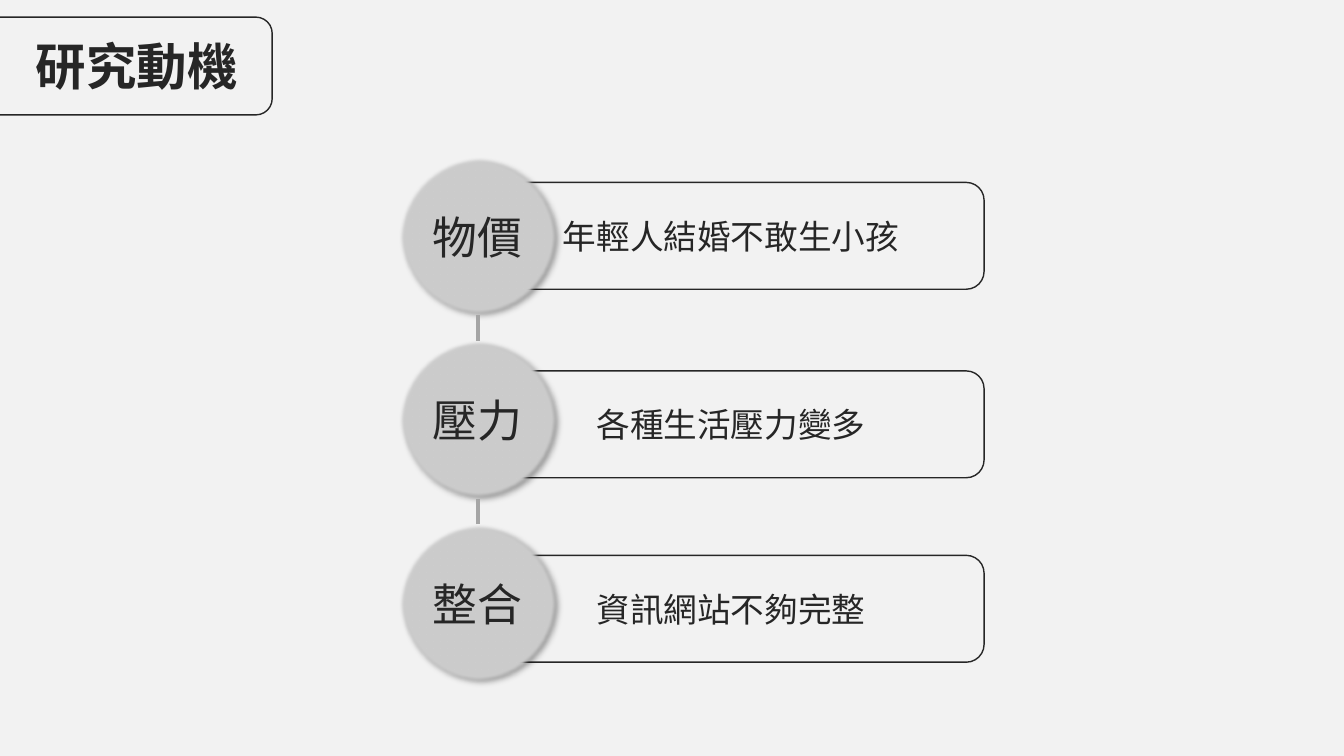
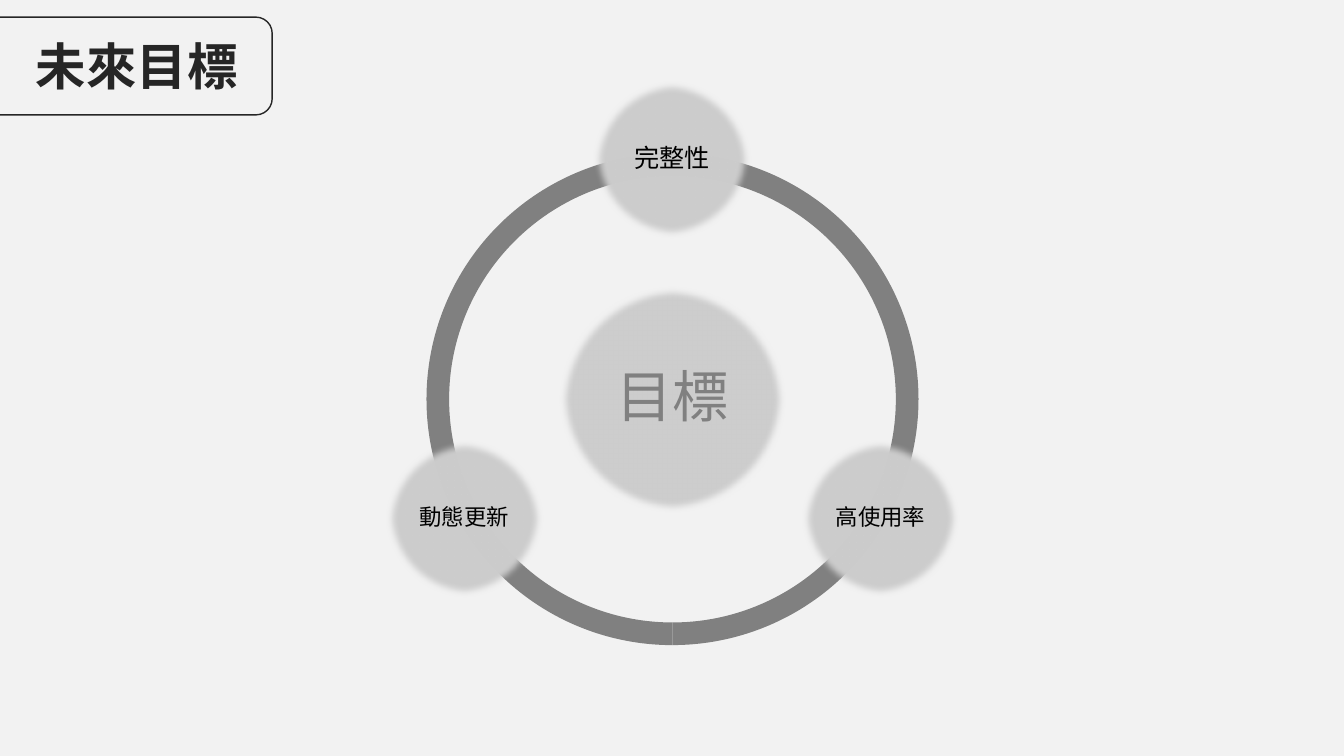
from itertools import pairwise
from math import cos, radians, sin

from lxml.etree import SubElement
from pptx import Presentation
from pptx.dml.color import RGBColor
from pptx.enum.shapes import MSO_CONNECTOR as CONNECTOR, MSO_SHAPE as SHAPE
from pptx.enum.text import MSO_ANCHOR as ANCHOR, PP_ALIGN as ALIGN
from pptx.oxml.ns import qn
from pptx.util import Pt

PX = 9144  # EMU per px: 100 px to the inch
FONT = "Noto Sans CJK SC"
COLORS = {
    "background": "F2F2F2",
    "ink": "262626",
    "disc": "CDCDCD",
    "ring": "808080",
    "link": "A5A5A5",
    "label": "000000",
    "shadow": "000000",
}
DISC = 157  # diameter of the small discs

# Slide 1: disc label, box text, top of the box
REASONS = [
    ("物價", "年輕人結婚不敢生小孩", 181),
    ("壓力", "各種生活壓力變多", 368),
    ("整合", "資訊網站不夠完整", 551),
]
DISC_LEFT, DISC_TOP, DISC_PITCH = 396, 156, 182

# Slide 2: label, text size, angle on the ring
GOALS = [("完整性", 18, -90), ("高使用率", 16, 30), ("動態更新", 16, 150)]
CENTER_X, CENTER_Y = 667, 396
RING_SIZE, RING_WIDTH, HUB, ORBIT = 488, 0.046, 224, 238
ARC_ENDS = (18, 90, 162, 18)


def color(name):
    return RGBColor.from_string(COLORS[name])


def emu(*lengths):
    return [length * PX for length in lengths]


def write(shape, text, size, ink="ink", bold=False, align=ALIGN.CENTER, inset=None):
    frame = shape.text_frame
    frame.word_wrap = True
    frame.vertical_anchor = ANCHOR.MIDDLE
    if inset is not None:
        frame.margin_left = frame.margin_right = inset * PX
        frame.margin_top = frame.margin_bottom = inset * PX
    paragraph = frame.paragraphs[0]
    paragraph.alignment = align
    run = paragraph.add_run()
    run.text = text
    run.font.size = Pt(size)
    run.font.bold = bold
    run.font.color.rgb = color(ink)
    run.font.name = FONT
    SubElement(run.font._element, qn("a:ea"), typeface=FONT)
    return frame


def add_shape(slide, kind, box, fill=None, line=None):
    shape = slide.shapes.add_shape(kind, *emu(*box))
    shape.shadow.inherit = False
    if fill:
        shape.fill.solid()
        shape.fill.fore_color.rgb = color(fill)
    else:
        shape.fill.background()
    if line:
        shape.line.color.rgb = color(line)
        shape.line.width = Pt(1)
    else:
        shape.line.fill.background()
    return shape


def add_disc(slide, left, top, size, soft_edge, shadow=False):
    """Disc with a soft rim, given in points, and an optional drop shadow."""
    disc = add_shape(slide, SHAPE.OVAL, (left, top, size, size), fill="disc")
    effects = disc._element.spPr.find(qn("a:effectLst"))
    if shadow:
        outer = SubElement(effects, qn("a:outerShdw"), blurRad=str(Pt(4)), dist=str(Pt(3)),
                           dir=str(45 * 60000), algn="tl", rotWithShape="0")
        tint = SubElement(outer, qn("a:srgbClr"), val=COLORS["shadow"])
        SubElement(tint, qn("a:alpha"), val="40000")
    SubElement(effects, qn("a:softEdge"), rad=str(Pt(soft_edge)))
    return disc


def add_link(slide, x, top, bottom):
    link = slide.shapes.add_connector(CONNECTOR.STRAIGHT, *emu(x, bottom, x, top))
    link.line.color.rgb = color("link")
    link.line.width = Pt(3)
    SubElement(link._element.spPr, qn("a:effectLst"))


def add_titled_slide(presentation, title):
    slide = presentation.slides.add_slide(presentation.slide_layouts[6])
    slide.background.fill.solid()
    slide.background.fill.fore_color.rgb = color("background")
    # Title tab running in from the left edge
    add_shape(slide, SHAPE.ROUNDED_RECTANGLE, (-86, 17, 356, 97), line="ink")
    frame = write(slide.shapes.add_textbox(*emu(24, 30, 223, 71)), title, 36, bold=True)
    frame.word_wrap = False
    frame.vertical_anchor = ANCHOR.TOP
    return slide


def build_motives(presentation):
    slide = add_titled_slide(presentation, "研究動機")
    # Boxes lie behind the discs
    for _, text, top in REASONS:
        box = add_shape(slide, SHAPE.ROUNDED_RECTANGLE, (474, top, 502, 106), line="ink")
        write(box, text, 24)
    tops = [DISC_TOP + DISC_PITCH * row for row in range(len(REASONS))]
    for (label, _, _), top in zip(REASONS, tops):
        disc = add_disc(slide, DISC_LEFT, top, DISC, soft_edge=2.5, shadow=True)
        write(disc, label, 32, align=ALIGN.LEFT)
    # Links fill the gaps between discs
    for upper, lower in pairwise(tops):
        add_link(slide, 474, upper + DISC, lower)


def build_goals(presentation):
    slide = add_titled_slide(presentation, "未來目標")
    # Ring of three arcs
    ring_box = (CENTER_X - RING_SIZE // 2, CENTER_Y - RING_SIZE // 2, RING_SIZE, RING_SIZE)
    for start, end in pairwise(ARC_ENDS):
        arc = add_shape(slide, SHAPE.BLOCK_ARC, ring_box, fill="ring")
        # Angles count in 60000ths of a degree, adjustments in 100000ths
        arc.adjustments[0] = start * 0.6
        arc.adjustments[1] = end * 0.6
        arc.adjustments[2] = RING_WIDTH
    # Hub, then the goals on the ring
    discs = [("目標", 40, "ring", HUB, CENTER_X, CENTER_Y)]
    for label, size, angle in GOALS:
        x = CENTER_X + ORBIT * cos(radians(angle))
        y = CENTER_Y + ORBIT * sin(radians(angle))
        discs.append((label, size, "label", DISC, x, y))
    for label, size, ink, diameter, x, y in discs:
        left, top = round(x - diameter / 2), round(y - diameter / 2)
        disc = add_disc(slide, left, top, diameter, soft_edge=5)
        frame = write(disc, label, size, ink, inset=3)
        frame.paragraphs[0].line_spacing = 0.9


def main():
    presentation = Presentation()
    presentation.slide_width, presentation.slide_height = emu(1333, 750)
    build_motives(presentation)
    build_goals(presentation)
    presentation.save("out.pptx")


if __name__ == "__main__":
    main()
